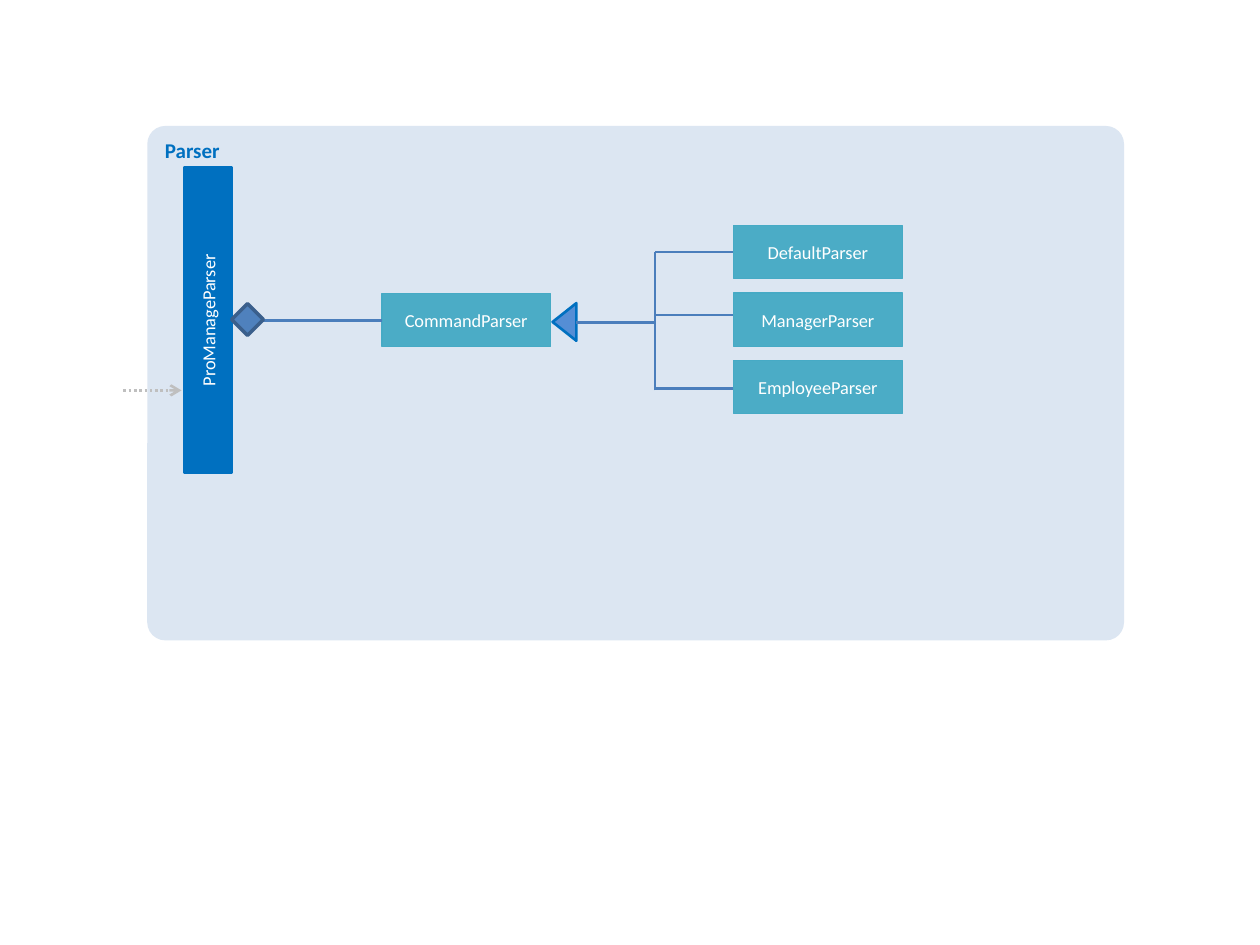
from lxml import etree
from pptx import Presentation
from pptx.dml.color import RGBColor
from pptx.enum import dml, shapes, text
from pptx.oxml.ns import qn
from pptx.util import Cm, Pt

HUES = {
    "panel": "DCE6F2", "blue": "0070C0", "teal": "4BACC6", "edge": "46AAC5",
    "sky": "558ED5", "steel": "4F81BD", "navy": "3A5F8C", "wire": "4B7EBC",
    "grey": "BFBFBF", "white": "FFFFFF",
}
KIDS = ["DefaultParser", "ManagerParser", "EmployeeParser"]
BOX_W, BOX_H = 3.4, 1.07
KID_X, KID_Y, STEP = 14.79, 4.55, 1.36
STEM = 13.21
WIRES = [
    (11.61, 6.5, STEM, 6.5),
    (STEM, 7.87, STEM, 5.08),
    (14.78, 5.08, STEM, 5.08),
    (14.78, 7.83, STEM, 7.83),
    (14.81, 6.35, STEM, 6.35),
    (7.7, 6.46, 5.28, 6.46),
]

deck = Presentation()
deck.slide_width, deck.slide_height = Cm(25.4), Cm(19.05)
page = deck.slides.add_slide(deck.slide_layouts[6])
Kind = shapes.MSO_SHAPE


def hue(name):
    return RGBColor.from_string(HUES[name])


def add_part(kind, spot, fill, line=None, width=0.75, turn=0):
    part = page.shapes.add_shape(kind, *map(Cm, spot))
    part.shadow.inherit = False
    part.rotation = turn
    part.fill.solid()
    part.fill.fore_color.rgb = hue(fill)
    if line:
        part.line.color.rgb = hue(line)
        part.line.width = Pt(width)
    else:
        part.line.fill.background()
    return part


def label(part, words, size=10.5, color="white", bold=False,
          align=text.PP_ALIGN.CENTER, anchor=text.MSO_ANCHOR.MIDDLE):
    frame = part.text_frame
    frame.text = words
    frame.vertical_anchor = anchor
    para = frame.paragraphs[0]
    para.alignment = align
    font = para.runs[0].font
    font.name, font.size, font.bold = "Calibri", Pt(size), bold
    font.color.rgb = hue(color)


def add_box(words, left, top):
    box = add_part(Kind.RECTANGLE, (left, top, BOX_W, BOX_H), "teal", "edge")
    label(box, words)


def add_wire(ends, color="wire", width=1.25, kind=shapes.MSO_CONNECTOR.STRAIGHT):
    wire = page.shapes.add_connector(kind, *map(Cm, ends))
    wire.line.color.rgb = hue(color)
    wire.line.width = Pt(width)
    etree.SubElement(wire.element.spPr, qn("a:effectLst"))
    return wire


panel = add_part(Kind.ROUNDED_RECTANGLE, (2.97, 2.54, 19.69, 10.37), "panel")
panel.adjustments[0] = 0.035
label(panel, "Parser", 12, "blue", True, text.PP_ALIGN.LEFT, text.MSO_ANCHOR.TOP)

add_box("CommandParser", 7.7, 5.92)
main = add_part(Kind.RECTANGLE, (1.12, 5.97, 6.15, 0.97), "blue", "blue", 1.5, 270)
label(main, "ProManageParser")
add_part(Kind.ISOSCELES_TRIANGLE, (11, 6.25, 0.76, 0.48), "sky", "blue", 1.5, 270)

entry = add_wire((2.49, 7.87, 3.66, 7.87), "grey", 1.5, shapes.MSO_CONNECTOR.ELBOW)
entry.line.dash_style = dml.MSO_LINE.ROUND_DOT
etree.SubElement(entry.line._get_or_add_ln(), qn("a:tailEnd"), type="arrow")

for ends in WIRES:
    add_wire(ends)
add_part(Kind.FLOWCHART_DECISION, (4.67, 6.12, 0.64, 0.64), "steel", "navy", 2)
for row, name in enumerate(KIDS):
    add_box(name, KID_X, KID_Y + row * STEP)

deck.save("out.pptx")
